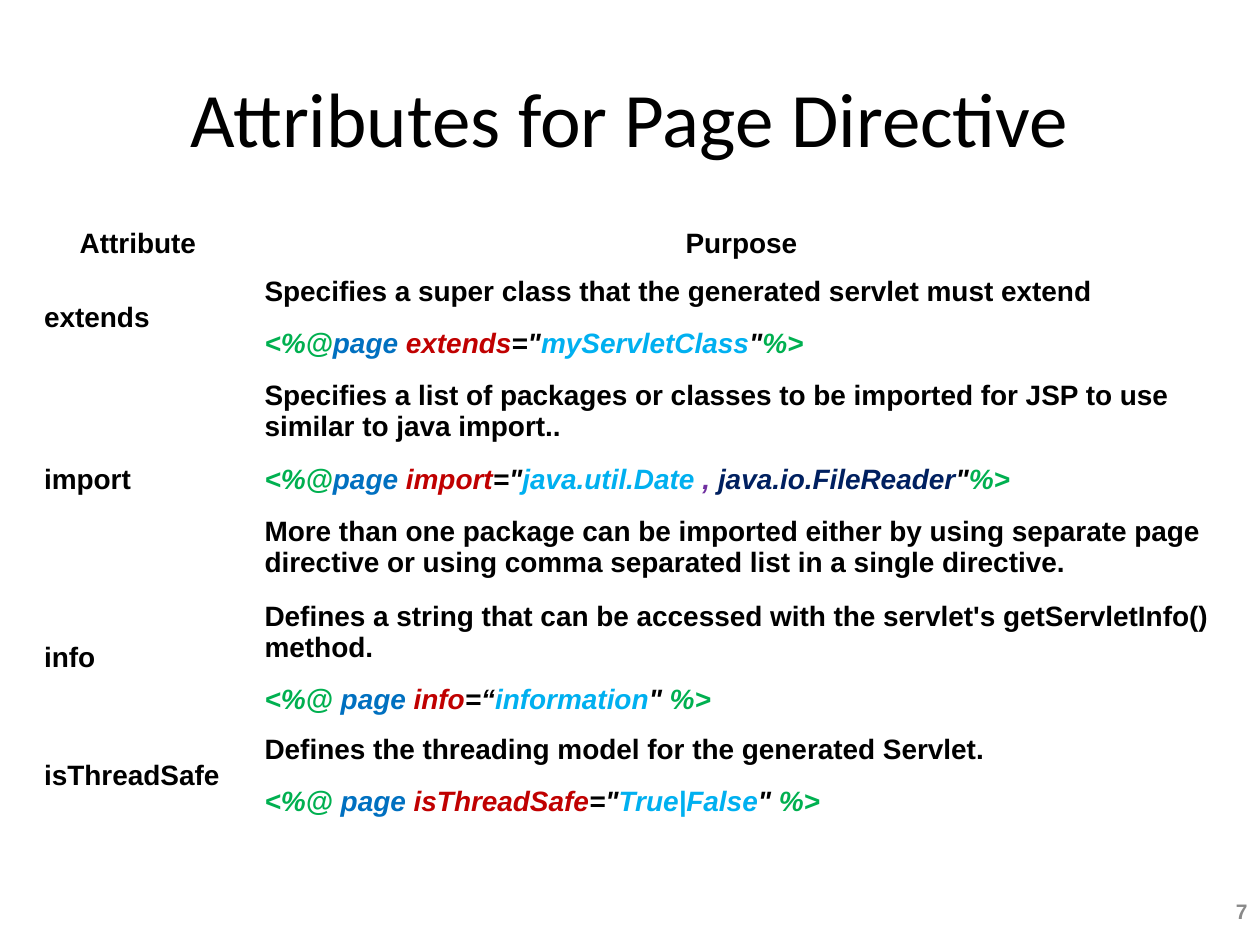
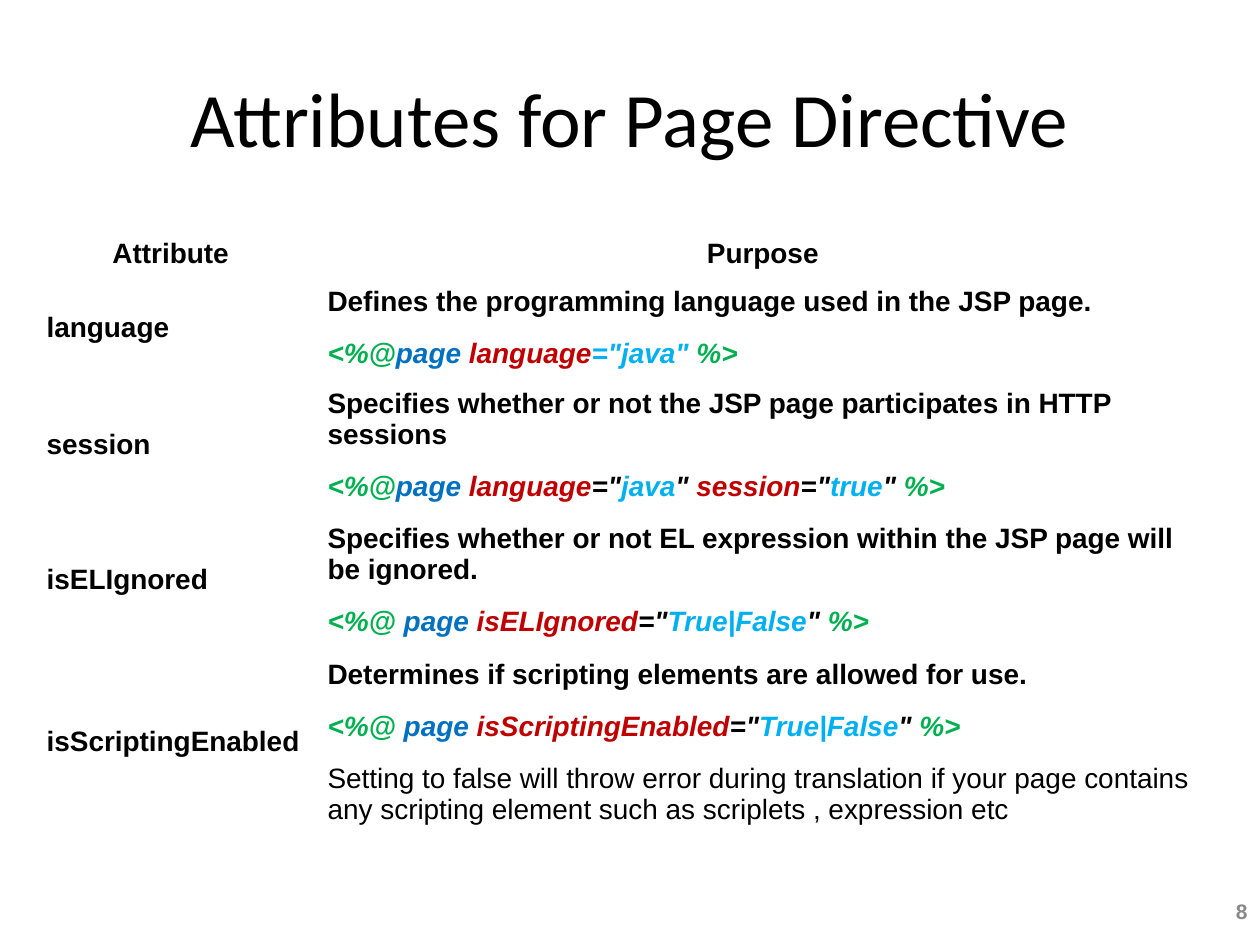
from dataclasses import dataclass
from typing import NamedTuple

from pptx import Presentation
from pptx.dml.color import RGBColor
from pptx.enum.text import MSO_ANCHOR, PP_ALIGN
from pptx.util import Inches, Pt

BLACK = "000000"
GREY = "898989"
GREEN = "00B050"
BLUE = "0070C0"
RED = "C00000"
CYAN = "00B0F0"
PURPLE = "7030A0"
NAVY = "002060"

TITLE = "Attributes for Page Directive"
TITLE_BOX = (0.5, 0.3, 9, 1.25)
NUMBER_BOX = (9.51, 7.06, 0.49, 0.35)
TITLE_FONT = {"name": "Calibri", "size": Pt(44), "bold": False}
NUMBER_FONT = {"name": "Arial", "size": Pt(12), "bold": True}
CELL_FONT = {"name": "Arial", "size": Pt(16), "bold": True, "italic": False}


class Run(NamedTuple):
    text: str
    colour: str = BLACK
    italic: bool = False
    bold: bool = True


Line = list[Run]


class AttributeRow(NamedTuple):
    name: str
    purpose: list[Line]
    height: float


@dataclass
class AttributeSlide:
    number: int
    left: float
    top: float
    column_widths: tuple[float, float]
    rows: list[AttributeRow]


def code(text: str, colour: str) -> Run:
    return Run(text, colour, italic=True)


def sentence(text: str, bold: bool = True) -> Line:
    return [Run(text, bold=bold)]


def setting(name: str, value: str, start: str = '="', end: str = '" ') -> Line:
    """Colour one name="value" pair of a directive."""
    return [code(name, RED), code(start, BLACK), code(value, CYAN), code(end, BLACK)]


def directive(opening: str, *settings: Line) -> Line:
    """Wrap coloured settings in the page directive's tags."""
    inner = [run for pair in settings for run in pair]
    return [code(opening, GREEN), code("page ", BLUE), *inner, code("%>", GREEN)]


SLIDES = [
    AttributeSlide(7, 0.25, 1.75, (1.75, 7.83), [
        AttributeRow("extends", [
            sentence("Specifies a super class that the generated servlet must extend"),
            directive("<%@", setting("extends", "myServletClass", end='"')),
        ], 0.8),
        AttributeRow("import", [
            sentence("Specifies a list of packages or classes to be imported for JSP "
                     "to use similar to java import.."),
            directive("<%@", [
                code("import", RED), code('="', BLACK), code("java.util.Date ", CYAN),
                code(", ", PURPLE), code("java.io.FileReader", NAVY), code('"', BLACK),
            ]),
            sentence("More than one package can be imported either by using separate page "
                     "directive or using comma separated list in a single directive."),
        ], 1.77),
        AttributeRow("info", [
            sentence("Defines a string that can be accessed with the servlet's "
                     "getServletInfo() method."),
            directive("<%@ ", setting("info", "information", start="=“")),
        ], 1.07),
        AttributeRow("isThreadSafe", [
            sentence("Defines the threading model for the generated Servlet."),
            directive("<%@ ", setting("isThreadSafe", "True|False")),
        ], 0.8),
    ]),
    AttributeSlide(8, 0.27, 1.83, (2.23, 7.17), [
        AttributeRow("language", [
            sentence("Defines the programming language used in the JSP page."),
            directive("<%@", [code("language", RED), code('="java" ', CYAN)]),
        ], 0.8),
        AttributeRow("session", [
            sentence("Specifies whether or not the JSP page participates in HTTP sessions"),
            directive("<%@", setting("language", "java"), setting("session", "true")),
        ], 1.07),
        AttributeRow("isELIgnored", [
            sentence("Specifies whether or not EL expression within the JSP page will "
                     "be ignored."),
            directive("<%@ ", setting("isELIgnored", "True|False")),
        ], 1.07),
        AttributeRow("isScriptingEnabled", [
            sentence("Determines if scripting elements are allowed for use."),
            directive("<%@ ", setting("isScriptingEnabled", "True|False")),
            sentence("Setting to false will throw error during translation if your page "
                     "contains any scripting element such as scriplets , expression etc",
                     bold=False),
        ], 1.5),
    ]),
]


def apply_format(target, values: dict) -> None:
    for name, value in values.items():
        setattr(target, name, value)


def set_colour(font, colour: str) -> None:
    font.color.rgb = RGBColor.from_string(colour)


def add_run(paragraph, text: str, font_values: dict, colour: str) -> None:
    run = paragraph.add_run()
    run.text = text
    apply_format(run.font, font_values)
    set_colour(run.font, colour)


def fill_cell(cell, lines: list[Line], alignment=PP_ALIGN.LEFT) -> None:
    cell.fill.background()
    cell.vertical_anchor = MSO_ANCHOR.MIDDLE
    for index, line in enumerate(lines):
        frame = cell.text_frame
        paragraph = frame.add_paragraph() if index else frame.paragraphs[0]
        apply_format(paragraph, {"alignment": alignment, "space_before": Pt(12)})
        for run in line:
            style = CELL_FONT | {"bold": run.bold, "italic": run.italic}
            add_run(paragraph, run.text, style, run.colour)


def add_title(slide) -> None:
    title = slide.shapes.title
    apply_format(title, dict(zip(("left", "top", "width", "height"), map(Inches, TITLE_BOX))))
    title.text_frame.vertical_anchor = MSO_ANCHOR.MIDDLE
    paragraph = title.text_frame.paragraphs[0]
    paragraph.alignment = PP_ALIGN.CENTER
    add_run(paragraph, TITLE, TITLE_FONT, BLACK)


def add_slide_number(slide, number: int) -> None:
    frame = slide.shapes.add_textbox(*map(Inches, NUMBER_BOX)).text_frame
    apply_format(frame, {"word_wrap": True, "vertical_anchor": MSO_ANCHOR.MIDDLE})
    paragraph = frame.paragraphs[0]
    paragraph.alignment = PP_ALIGN.RIGHT
    add_run(paragraph, str(number), NUMBER_FONT, GREY)


def add_attribute_table(slide, content: AttributeSlide) -> None:
    heights = [0.37, *(row.height for row in content.rows)]
    table = slide.shapes.add_table(
        len(heights), 2, Inches(content.left), Inches(content.top),
        Inches(sum(content.column_widths)), Inches(sum(heights)),
    ).table
    apply_format(table, {"first_row": False, "horz_banding": False})
    for column, width in zip(table.columns, content.column_widths):
        column.width = Inches(width)
    for table_row, height in zip(table.rows, heights):
        table_row.height = Inches(height)
    for column_index, heading in enumerate(("Attribute ", "Purpose ")):
        fill_cell(table.cell(0, column_index), [sentence(heading)], PP_ALIGN.CENTER)
    for row_index, row in enumerate(content.rows, start=1):
        fill_cell(table.cell(row_index, 0), [sentence(row.name)])
        fill_cell(table.cell(row_index, 1), row.purpose)


def main() -> None:
    presentation = Presentation()
    presentation.slide_width = Inches(10)
    presentation.slide_height = Inches(7.5)
    title_only = presentation.slide_layouts.get_by_name("Title Only")
    for content in SLIDES:
        slide = presentation.slides.add_slide(title_only)
        add_title(slide)
        add_slide_number(slide, content.number)
        add_attribute_table(slide, content)
    presentation.save("out.pptx")


if __name__ == "__main__":
    main()
